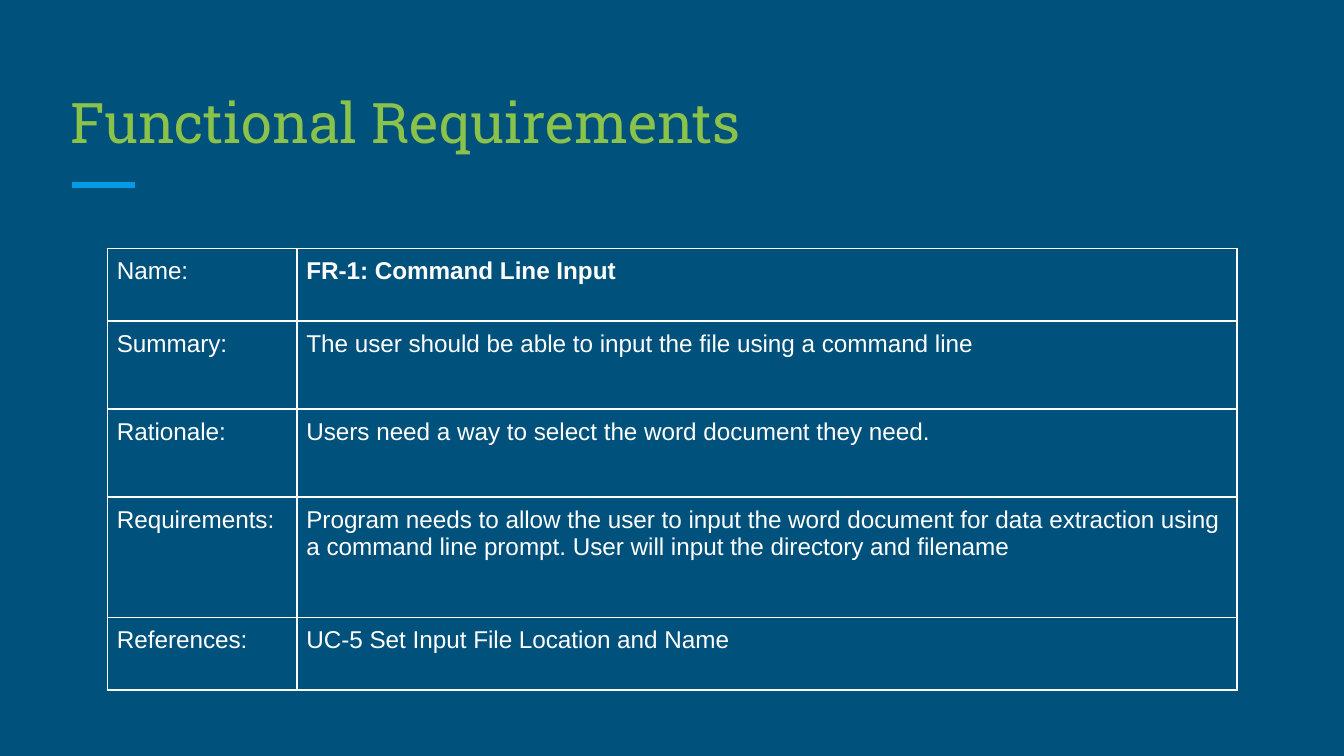
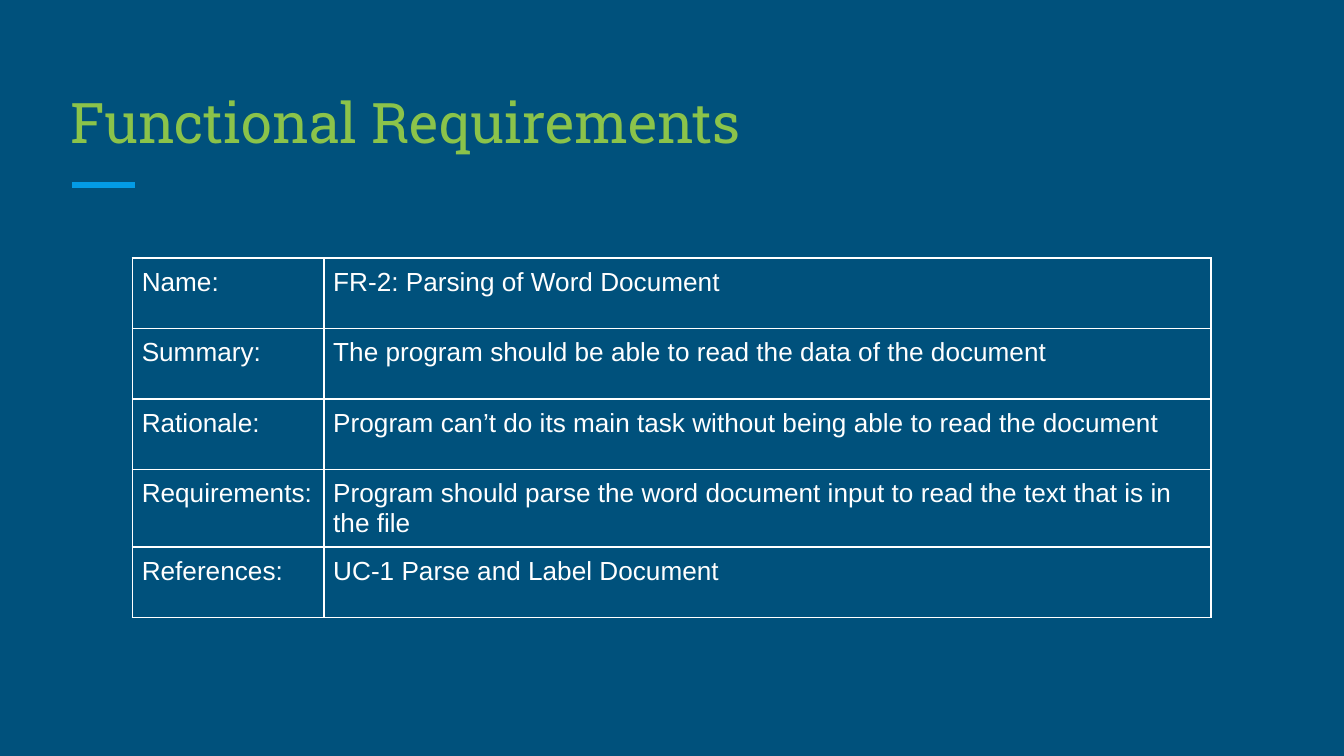
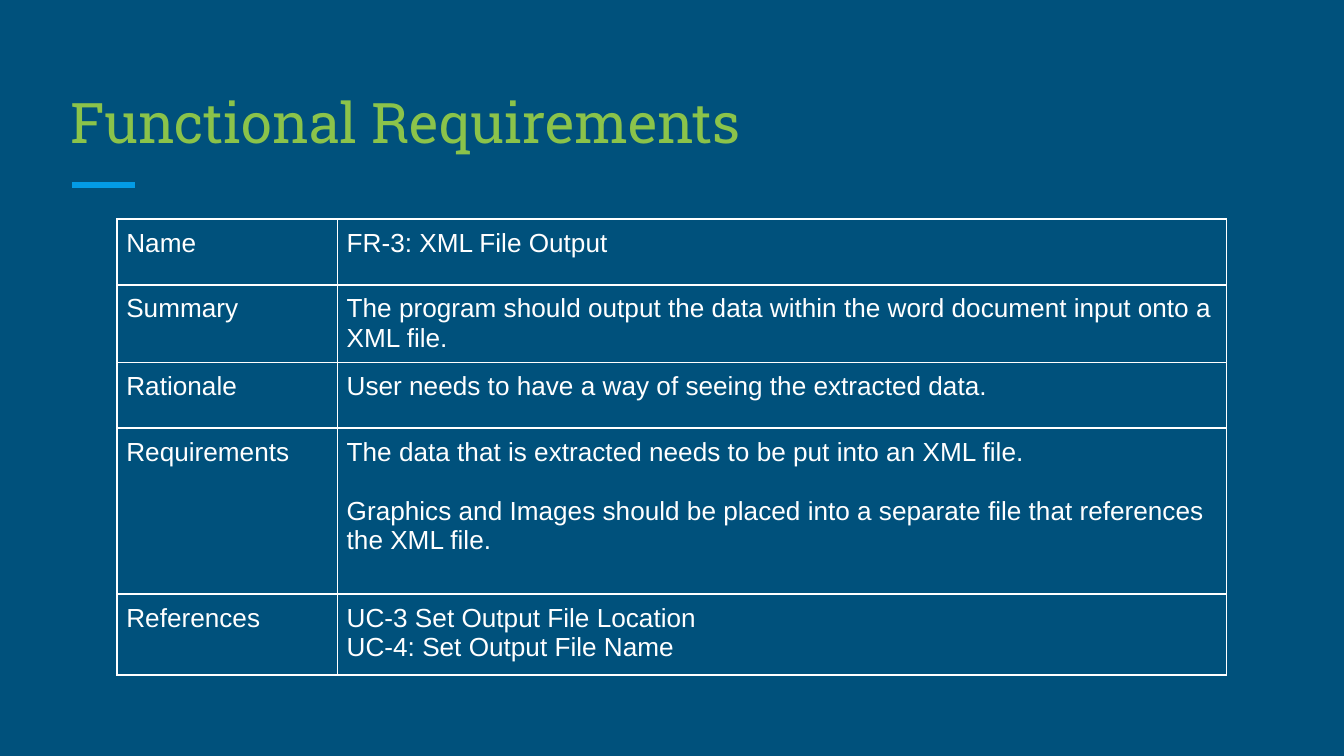
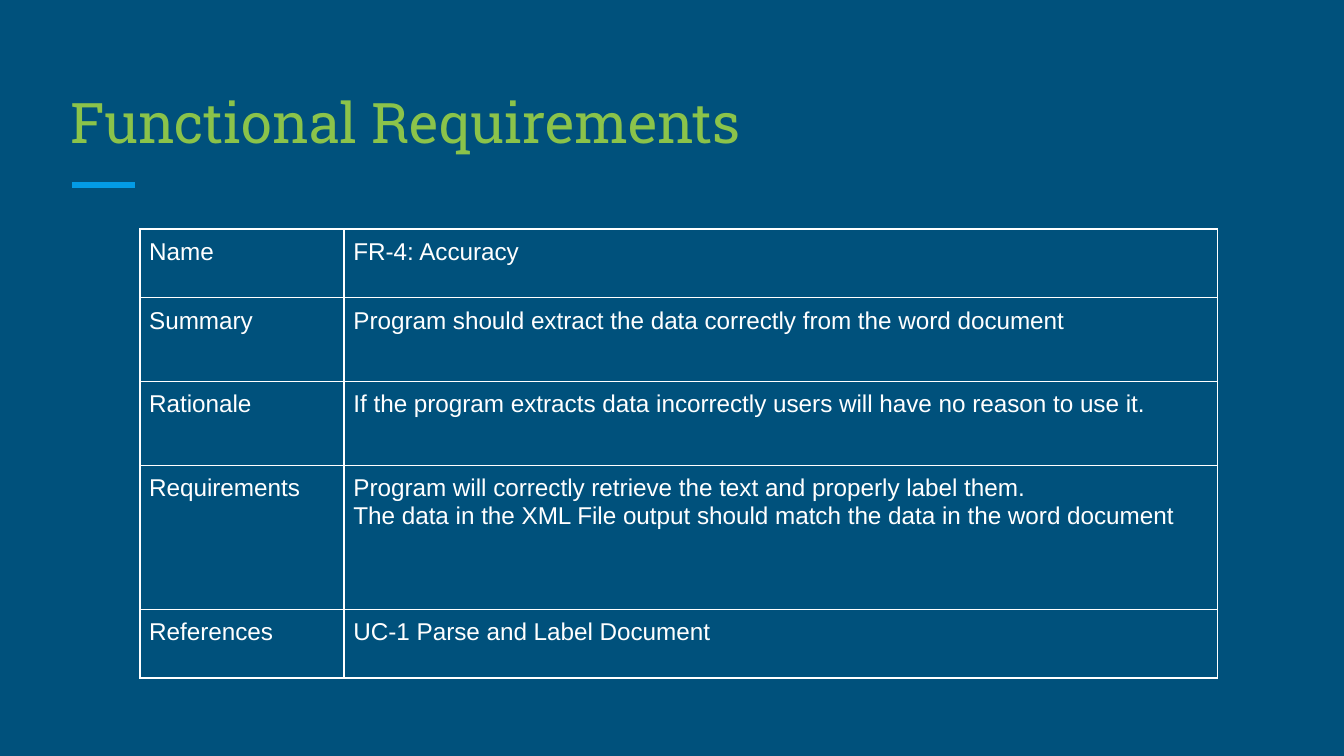
from pptx import Presentation
from pptx.dml.color import RGBColor
from pptx.enum.shapes import MSO_CONNECTOR as Link
from pptx.enum.text import MSO_ANCHOR as Anchor, MSO_AUTO_SIZE as Fit, PP_ALIGN as Align
from pptx.oxml import parse_xml
from pptx.oxml.ns import nsdecls
from pptx.util import Emu, Pt

NAVY, GREEN, BLUE, WHITE = "00517C", "8BC34A", "039BE5", "FFFFFF"
LABELS = ["Name", "Summary", "Rationale", "Requirements", "References"]


def px(n):
    """Length in EMU, at 200 px to the inch."""
    return Emu(n * 4572)


def paint(color, value):
    color.rgb = RGBColor.from_string(value)


# One entry a slide: place, column widths, row heights, type and wording
tables = [
    dict(at=(160, 370), cols=[282, 1399], rows=[108, 131, 131, 179, 108],
         size=13, mark=":", bold=True, text=[
             "FR-1: Command Line Input",
             "The user should be able to input the file using a command line",
             "Users need a way to select the word document they need.",
             "Program needs to allow the user to input the word document for data "
             "extraction using a command line prompt. User will input the directory "
             "and filename",
             "UC-5 Set Input File Location and Name"]),
    dict(at=(197, 384), cols=[285, 1320], rows=[105] * 5,
         size=14, mark=":", bold=False, text=[
             "FR-2: Parsing of Word Document",
             "The program should be able to read the data of the document",
             "Program can’t do its main task without being able to read the document",
             "Program should parse the word document input to read the text that is "
             "in the file",
             "UC-1 Parse and Label Document"]),
    dict(at=(174, 326), cols=[328, 1323], rows=[98, 98, 98, 247, 120],
         size=14, mark="", bold=False, gap=(3, 16), text=[
             "FR-3: XML File Output",
             "The program should output the data within the word document input "
             "onto a XML file.",
             "User needs to have a way of seeing the extracted data.",
             "The data that is extracted needs to be put into an XML file.\n"
             "Graphics and Images should be placed into a separate file that "
             "references the XML file.",
             "UC-3 Set Output File Location\nUC-4: Set Output File Name"]),
    dict(at=(208, 341), cols=[304, 1300], rows=[102, 125, 125, 214, 102],
         size=13, mark="", bold=False, text=[
             "FR-4: Accuracy",
             "Program should extract the data correctly from the word document",
             "If the program extracts data incorrectly users will have no reason to use it.",
             "Program will correctly retrieve the text and properly label them.\n"
             "The data in the XML File output should match the data in the word document",
             "UC-1 Parse and Label Document"]),
]

deck = Presentation()
deck.slide_width, deck.slide_height = px(2000), px(1125)

# Shared background
back = deck.slide_master.background.fill
back.solid()
paint(back.fore_color, NAVY)

for item in tables:
    slide = deck.slides.add_slide(deck.slide_layouts[5])

    # Title
    title = slide.shapes.title
    title.left, title.top, title.width, title.height = px(85), px(100), px(1830), px(150)
    frame = title.text_frame
    frame.text = "Functional Requirements"
    frame.auto_size, frame.word_wrap = Fit.NONE, True
    frame.vertical_anchor = Anchor.BOTTOM
    frame.margin_left = frame.margin_right = px(20)
    frame.margin_top = frame.margin_bottom = px(20)
    para = frame.paragraphs[0]
    para.alignment = Align.LEFT
    para.font.name, para.font.size = "Roboto Slab", Pt(30)
    paint(para.font.color, GREEN)

    # Accent line under the title
    bar = slide.shapes.add_connector(Link.STRAIGHT, px(107), px(275), px(201), px(275))
    bar.line.width = Pt(3)
    paint(bar.line.color, BLUE)
    bar.element.spPr.append(parse_xml(f"<a:effectLst {nsdecls('a')}/>"))

    # Requirement table
    left, top = item["at"]
    cols, rows = item["cols"], item["rows"]
    grid = slide.shapes.add_table(len(rows), len(cols), px(left), px(top),
                                  px(sum(cols)), px(sum(rows))).table
    grid.first_row = grid.horz_banding = False
    for col, width in zip(grid.columns, cols):
        col.width = px(width)
    for row, height in zip(grid.rows, rows):
        row.height = px(height)

    for r, (label, text) in enumerate(zip(LABELS, item["text"])):
        for c, words in enumerate([label + item["mark"], text]):
            cell = grid.cell(r, c)
            cell.text = words
            cell.margin_left = cell.margin_right = px(14)
            cell.margin_top = cell.margin_bottom = px(14)
            for para in cell.text_frame.paragraphs:
                font = para.font
                font.name, font.size = "Arial", Pt(item["size"])
                font.bold = item["bold"] and (r, c) == (0, 1)
                paint(font.color, WHITE)

            # White borders, no fill
            props = cell._tc.get_or_add_tcPr()
            for side in "LRTB":
                props.append(parse_xml(
                    f'<a:ln{side} {nsdecls("a")} w="{Pt(1)}"><a:solidFill>'
                    f'<a:srgbClr val="{WHITE}"/></a:solidFill></a:ln{side}>'))
            cell.fill.background()

    # Space between the paragraphs of one cell
    if "gap" in item:
        r, space = item["gap"]
        grid.cell(r, 1).text_frame.paragraphs[1].space_before = Pt(space)

deck.save("out.pptx")
